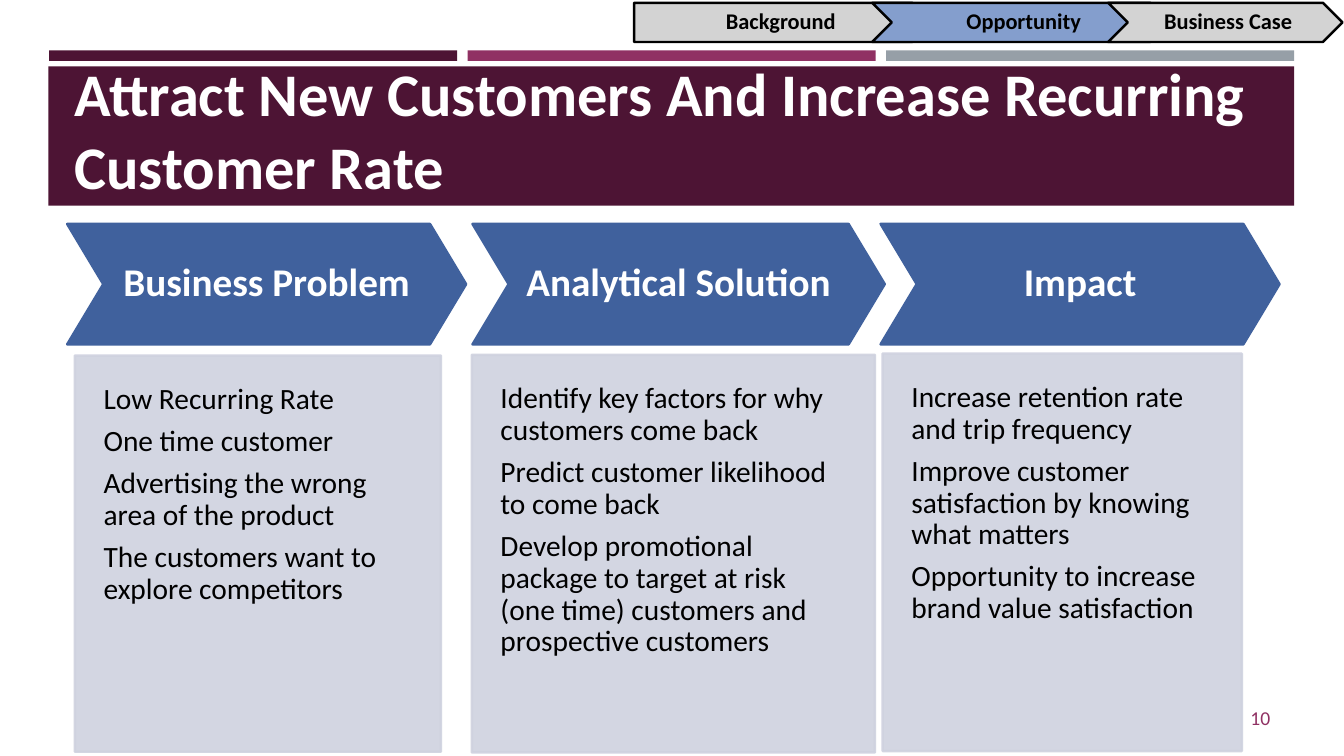
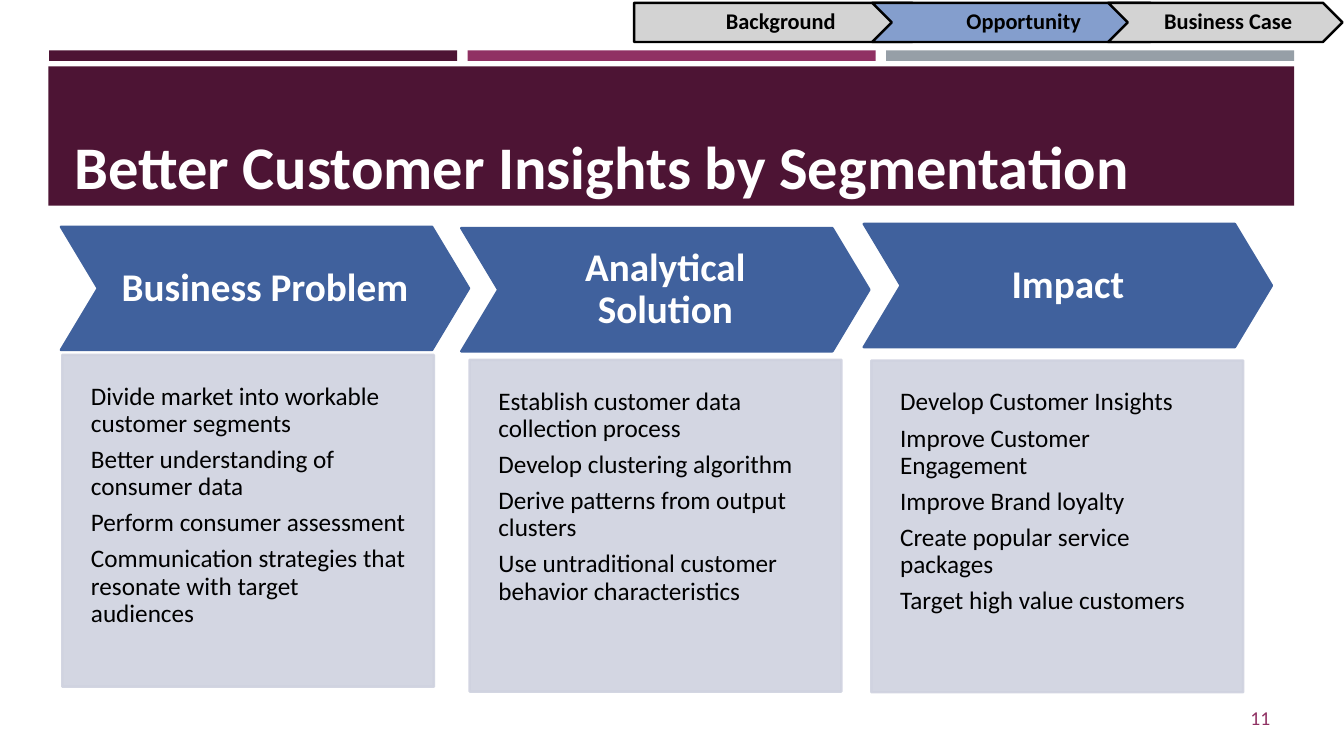
from pptx import Presentation
from pptx.dml.color import RGBColor
from pptx.enum.shapes import MSO_SHAPE
from pptx.enum.text import MSO_ANCHOR, MSO_AUTO_SIZE, PP_ALIGN
from pptx.oxml.ns import qn
from pptx.util import Pt
from lxml.etree import SubElement

FONT = "Calibri"
BLACK, WHITE = "000000", "FFFFFF"
PLUM, ROSE, STEEL = "4D1434", "903163", "969FA7"
BLUE, SKY, MIST, GREY = "40619D", "849ECD", "CFD2DF", "D3D3D3"

STEPS = [
    ("Background", MSO_SHAPE.PENTAGON, 453, 212.5, GREY),
    ("Opportunity", MSO_SHAPE.CHEVRON, 623, 212.5, SKY),
    ("Business Case", MSO_SHAPE.CHEVRON, 791.5, 167.5, GREY),
]

# Each column: heading, arrow box, panel box, list (boxes in points)
SLIDES = [
    ("Attract New Customers And Increase Recurring Customer Rate", "10", 21, [
        ("Business Problem", (48, 160, 285, 86), (53.5, 254, 261.5, 283), [
            "Low Recurring Rate",
            "One time customer",
            "Advertising the wrong area of the product",
            "The customers want to explore competitors"]),
        ("Analytical Solution", (337.5, 160, 294.5, 86), (337, 253.5, 288, 284), [
            "Identify key factors for why customers come back",
            "Predict customer likelihood to come back",
            "Develop promotional package to target at risk (one time) "
            "customers and prospective customers"]),
        ("Impact", (629, 160, 285, 86), (630.5, 252.5, 256.5, 284), [
            "Increase retention rate and trip frequency",
            "Improve customer satisfaction by knowing what matters",
            "Opportunity to increase brand value satisfaction"]),
    ]),
    ("Better Customer Insights by Segmentation", "11", 18, [
        ("Business Problem", (43.5, 162, 291.5, 88), (44.5, 253.5, 265.5, 237), [
            "Divide market into workable customer segments",
            "Better understanding of consumer data",
            "Perform consumer assessment",
            "Communication strategies that resonate with target audiences"]),
        ("Analytical Solution", (329.5, 163, 291.5, 88), (335.5, 257, 265.5, 237), [
            "Establish customer data collection process",
            "Develop clustering algorithm",
            "Derive patterns from output clusters",
            "Use untraditional customer behavior characteristics"]),
        ("Impact", (617, 160, 291.5, 88), (622.5, 257.5, 265.5, 237), [
            "Develop Customer Insights",
            "Improve Customer Engagement",
            "Improve Brand loyalty",
            "Create popular service packages",
            "Target high value customers"]),
    ]),
]


def paint(format, color, alpha=None):
    """Give a fill a solid colour, with an opacity in percent if set."""
    format.solid()
    format.fore_color.rgb = RGBColor.from_string(color)
    if alpha:
        tint = format._xPr.find(qn("a:solidFill"))[0]
        SubElement(tint, qn("a:alpha")).set("val", str(alpha * 1000))


def place(shape, box):
    shape.left, shape.top, shape.width, shape.height = map(Pt, box)


def draw(slide, kind, box, fill, line=None, alpha=None):
    shape = slide.shapes.add_shape(kind, *map(Pt, box))
    shape.shadow.inherit = False
    paint(shape.fill, fill, alpha)
    if line:
        shape.line.width = Pt(1.75)
        paint(shape.line.fill, line, alpha)
    else:
        shape.line.fill.background()
    return shape


def style(run, size, color, bold=False):
    font = run.font
    font.name, font.size, font.bold = FONT, Pt(size), bold
    font.color.rgb = RGBColor.from_string(color)


def write(shape, lines, size, color, bold=False, align=PP_ALIGN.CENTER,
          anchor=MSO_ANCHOR.MIDDLE, pads=(11, 11, 11, 11), tight=True):
    """Fill a shape with paragraphs; pads are left, top, right, bottom."""
    frame = shape.text_frame
    frame.word_wrap = True
    frame.vertical_anchor = anchor
    (frame.margin_left, frame.margin_top,
     frame.margin_right, frame.margin_bottom) = map(Pt, pads)
    for i, line in enumerate(lines):
        para = frame.add_paragraph() if i else frame.paragraphs[0]
        para.alignment = align
        if tight:
            para.line_spacing = 0.9
            para.space_after = Pt(round(size * 0.35, 2))
        run = para.add_run()
        run.text = line
        style(run, size, color, bold)


def set_base(layout, slide):
    """Move the shared bands to the layout and set its title box."""
    bands = [((34.5, 47.5, 890, 99.5), PLUM)]
    for i, color in enumerate((PLUM, ROSE, STEEL)):
        bands.append(((35 + 299 * i, 36, 291.5, 7.5), color))
    for box, color in bands:
        band = draw(slide, MSO_SHAPE.RECTANGLE, box, color)
        layout.shapes.element.insert(2, band.element)
    title = layout.placeholders[0]
    place(title, (46, 70, 868.5, 77.5))
    title.text_frame.vertical_anchor = MSO_ANCHOR.BOTTOM
    title.text_frame.auto_size = MSO_AUTO_SIZE.NONE


def add_title(slide, text):
    para = slide.shapes.title.text_frame.paragraphs[0]
    para.alignment = PP_ALIGN.LEFT
    run = para.add_run()
    run.text = text
    style(run, 43.2, WHITE, True)


def add_page(slide, number):
    box = slide.shapes.add_textbox(*map(Pt, (831.5, 498, 83, 29)))
    write(box, [number], 14, ROSE, align=PP_ALIGN.RIGHT,
          pads=(7.2, 3.6, 7.2, 3.6), tight=False)


def add_column(slide, head, arrow, panel, items, size):
    shape = draw(slide, MSO_SHAPE.CHEVRON, arrow, BLUE, BLUE)
    shape.adjustments[0] = 0.3
    write(shape, [head], 28, WHITE, True)
    shape = draw(slide, MSO_SHAPE.RECTANGLE, panel, MIST, MIST, 90)
    write(shape, items, size, BLACK, align=PP_ALIGN.LEFT,
          anchor=MSO_ANCHOR.TOP, pads=(20.5, 20.5, 20.5, 41))


def add_steps(slide):
    for text, kind, left, width, color in STEPS:
        shape = draw(slide, kind, (left, 2, width, 28), color, BLACK)
        write(shape, [text], 16, BLACK, True, pads=(5.5, 3.5, 1.5, 3.5))


def main():
    deck = Presentation()
    deck.slide_width, deck.slide_height = Pt(960), Pt(540)
    layout = deck.slide_layouts[5]
    for i, (title, number, size, columns) in enumerate(SLIDES):
        slide = deck.slides.add_slide(layout)
        if i == 0:
            set_base(layout, slide)
        add_title(slide, title)
        add_page(slide, number)
        for column in columns:
            add_column(slide, *column, size)
        add_steps(slide)
    deck.save("out.pptx")


if __name__ == "__main__":
    main()
